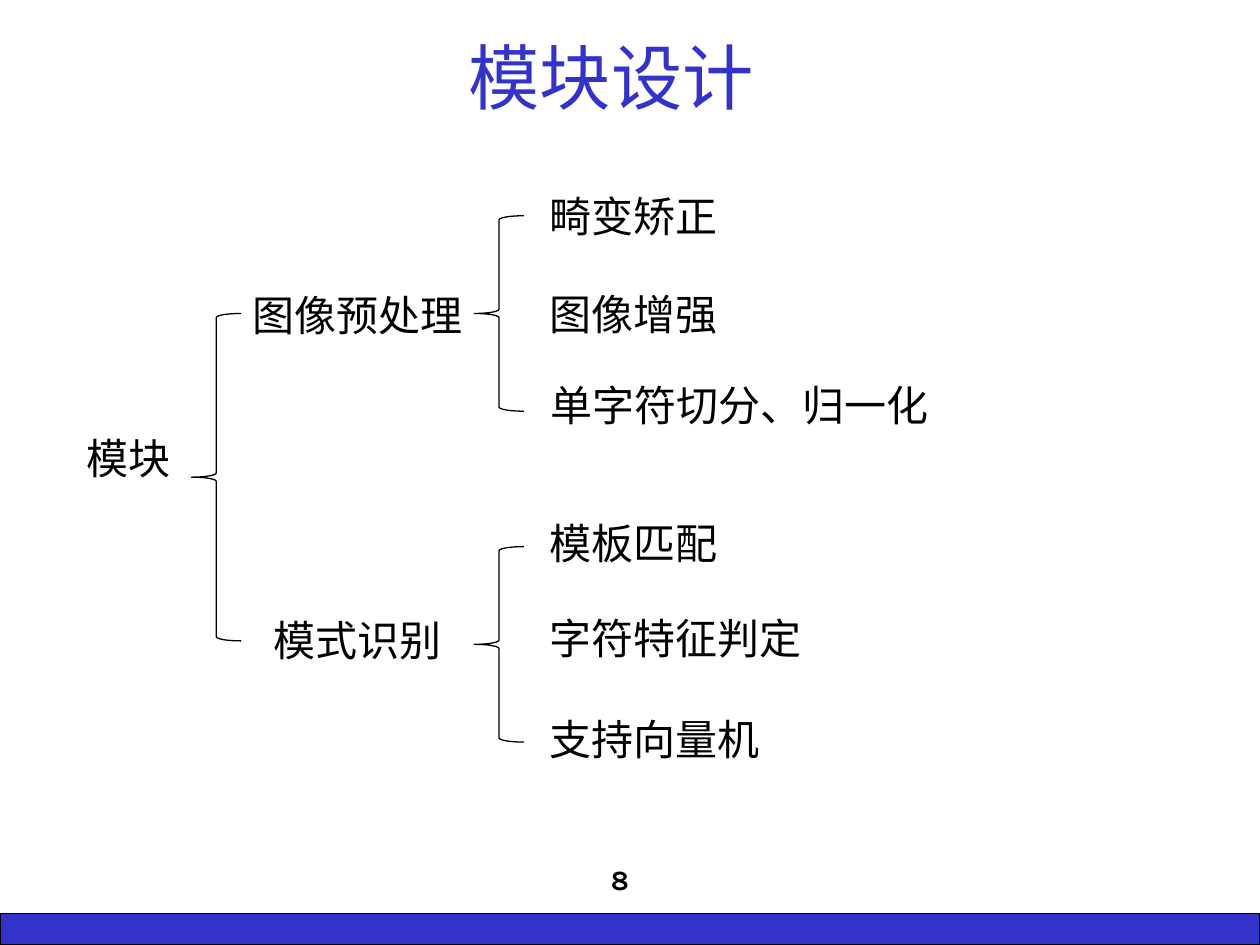
from lxml import etree
from pptx import Presentation
from pptx.dml.color import RGBColor
from pptx.enum.shapes import MSO_SHAPE
from pptx.enum.text import MSO_ANCHOR, PP_ALIGN
from pptx.oxml.ns import qn
from pptx.util import Cm, Pt

RECTANGLE = MSO_SHAPE.RECTANGLE
LEFT_BRACE = MSO_SHAPE.LEFT_BRACE
TOP, BOTTOM = MSO_ANCHOR.TOP, MSO_ANCHOR.BOTTOM
LEFT, CENTER = PP_ALIGN.LEFT, PP_ALIGN.CENTER

COLORS = {"blue": "3333CC", "black": "000000"}
LATIN_FONT = "Karla"
TITLE_FONT = "Noto Sans CJK SC"
LINE_HEIGHT = 1.27
LEAF_LEFT = 10.82

BRACES = [
    (3.86, 6.32, 6.6),
    (9.56, 4.35, 3.94),
    (9.56, 11.02, 3.94),
]
BRANCHES = [
    ("模块", 1.5, 8.59, 2.49),
    ("图像预处理", 4.85, 5.72, 4.95),
    ("模式识别", 5.26, 12.27, 3.99),
]
LEAVES = [
    ("畸变矫正", LEAF_LEFT, 3.71, 4.65),
    ("图像增强", LEAF_LEFT, 5.69, 4.65),
    ("单字符切分、归一化", LEAF_LEFT + 0.03, 7.52, 8.64),
    ("模板匹配", LEAF_LEFT, 10.31, 4.65),
    ("字符特征判定", LEAF_LEFT, 12.22, 5.84),
    ("支持向量机", LEAF_LEFT, 14.25, 5.05),
]


def color(name):
    return RGBColor.from_string(COLORS[name])


def add_text(page, text, left, top, width, height=LINE_HEIGHT, *, size=24,
             font=LATIN_FONT, ink="black", bold=False, align=LEFT,
             anchor=TOP, spacing=None):
    box = page.shapes.add_textbox(Cm(left), Cm(top), Cm(width), Cm(height))
    frame = box.text_frame
    frame.word_wrap = True
    frame.vertical_anchor = anchor
    para = frame.paragraphs[0]
    para.alignment = align
    para.line_spacing = spacing
    span = para.add_run()
    span.text = text
    span.font.size = Pt(size)
    span.font.bold = bold
    span.font.color.rgb = color(ink)
    span.font.name = font
    east_asian = etree.SubElement(span.font._element, qn("a:ea"))
    east_asian.set("typeface", font)


def add_outline(page, preset, left, top, width, height, fill=None):
    shape = page.shapes.add_shape(preset, Cm(left), Cm(top), Cm(width), Cm(height))
    shape.shadow.inherit = False
    shape.line.color.rgb = color("black")
    shape.line.width = Pt(0.75)
    if fill:
        shape.fill.solid()
        shape.fill.fore_color.rgb = color(fill)
    else:
        shape.fill.background()


def main():
    deck = Presentation()
    deck.slide_width, deck.slide_height = Cm(25.4), Cm(19.05)
    page = deck.slides.add_slide(deck.slide_layouts[6])

    add_outline(page, RECTANGLE, 0, 18.41, 25.4, 0.64, fill="blue")
    add_text(page, "8", 9.32, 16.92, 6.35, size=16, bold=True,
             align=CENTER, anchor=BOTTOM)
    add_text(page, "模块设计", 1.5, 0.53, 21.64, 2.01, size=40.7,
             font=TITLE_FONT, ink="blue", align=CENTER, anchor=BOTTOM,
             spacing=0.9)
    for left, top, height in BRACES:
        add_outline(page, LEFT_BRACE, left, top, 1, height)
    for text, left, top, width in BRANCHES + LEAVES:
        add_text(page, text, left, top, width)

    deck.save("out.pptx")


if __name__ == "__main__":
    main()
